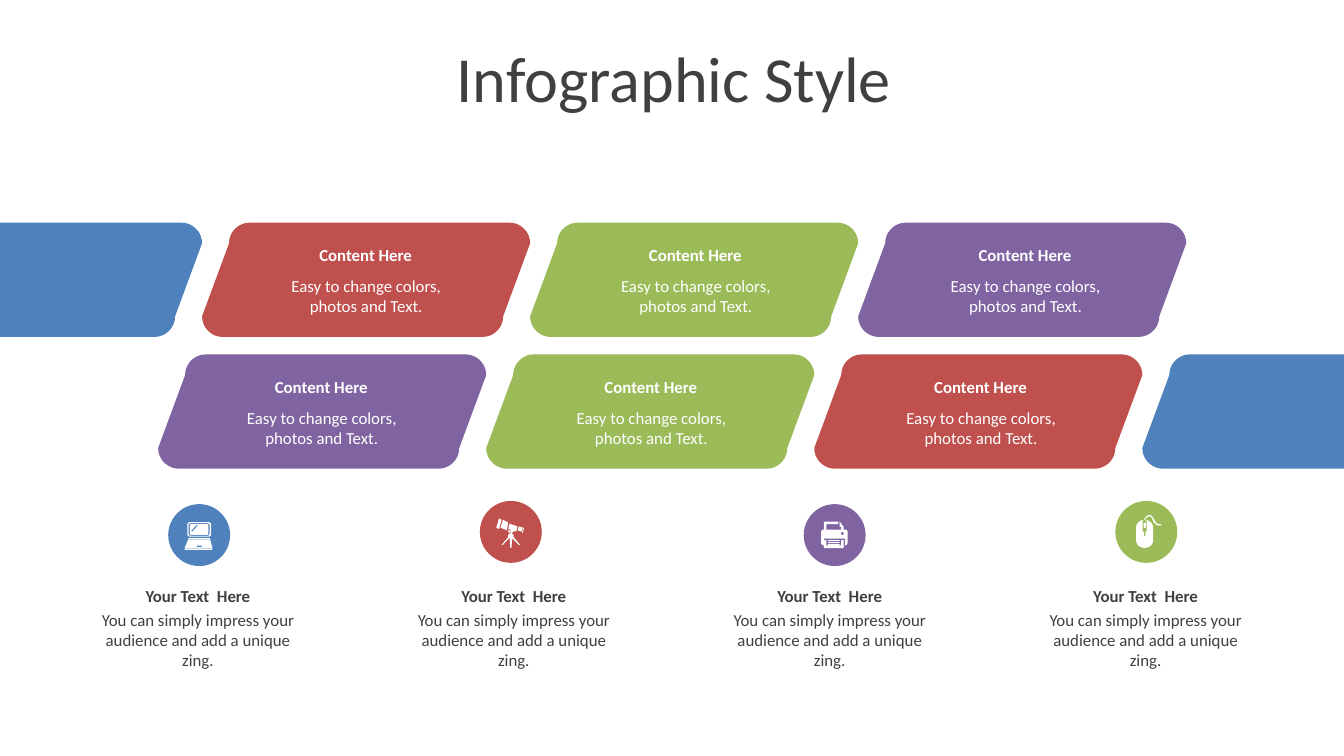
from math import cos, radians, sin

from pptx import Presentation
from pptx.dml.color import RGBColor
from pptx.enum.shapes import MSO_SHAPE
from pptx.enum.text import MSO_ANCHOR, MSO_AUTO_SIZE, PP_ALIGN
from pptx.util import Cm, Pt

BLUE = RGBColor(0x4F, 0x81, 0xBD)
RED = RGBColor(0xC0, 0x50, 0x4D)
GREEN = RGBColor(0x9B, 0xBB, 0x59)
PURPLE = RGBColor(0x80, 0x64, 0xA2)
WHITE = RGBColor(0xFF, 0xFF, 0xFF)
DARK = RGBColor(0x40, 0x40, 0x40)

PAGE_WIDTH, PAGE_HEIGHT = 25.4, 14.29
BANNER_WIDTH, BANNER_HEIGHT = 6.2, 2.16
RADIUS, SLANT = 0.39, 0.51
ICON_UNIT = 0.025  # one icon grid step in cm


def rounded(left, top, right, bottom, radius, slant=0):
    """Points of a rounded box whose sides may lean to the right."""
    corners = [
        (left + radius, bottom - radius, 90),
        (left + slant + radius, top + radius, 180),
        (right - radius, top + radius, 270),
        (right - slant - radius, bottom - radius, 0),
    ]
    return [
        (x + radius * cos(radians(start + step)), y + radius * sin(radians(start + step)))
        for x, y, start in corners
        for step in range(0, 91, 10)
    ]


def box(left, top, right, bottom):
    return [(left, top), (right, top), (right, bottom), (left, bottom)]


# Icons: closed outlines on a small grid, inner outlines are holes
LAPTOP = [
    rounded(2, 0, 20, 11, 2),
    rounded(3, 0.8, 18.8, 10.3, 1.5),
    rounded(4, 1.4, 18, 9.7, 1.2),
    [(9, 2), (10, 2.5), (5.5, 7.5), (5, 6.5)],
    [(3, 12), (19, 12), (21, 19.6), (0, 19.6)],
    box(3, 13, 19, 13.4),
    rounded(9, 17.8, 13, 18.8, 0.4),
    box(0, 20, 21, 21),
]
TELESCOPE = [
    [(2, 0), (4, 1), (2, 8), (0, 7)],
    [(5, 1), (9, 3), (8, 9), (3, 7)],
    [(10, 4), (16, 6), (15, 10), (9, 8)],
    [(17, 6), (20, 7), (19, 10), (16, 9)],
    [(20.5, 7), (21, 7.2), (20, 11), (19.5, 10.8)],
    [(9, 9), (13, 9), (13, 10), (12, 11), (12, 12), (13, 12), (13, 14),
     (18, 20), (17, 20), (12, 15), (11.5, 22), (10.5, 22), (10, 14.5),
     (5, 20), (4, 20), (9, 14), (9, 12), (10, 12), (10, 11), (9, 10)],
    rounded(10.4, 10, 11.4, 11, 0.5),
]
PRINTER = [
    rounded(0, 6, 20, 18, 2),
    box(2, 13, 18, 18),
    rounded(15, 8, 17, 10, 0.5),
    [(2, 14), (4, 14), (4, 18), (15, 18), (15, 14), (17, 14), (17, 20), (2, 20)],
    *[rounded(5, y, 14, y + 0.8, 0.4) for y in (14, 15.5, 17)],
    [(2, 0), (13, 0), (13, 2), (4, 2), (4, 6), (2, 6)],
    [(14, 0), (17, 4), (14, 4)],
    box(15, 4, 17, 6),
]
MOUSE = [
    rounded(0, 4, 13, 25, 6),
    rounded(5, 4, 8, 13, 1),
    rounded(5.7, 6, 7.5, 10, 0.9),
    box(6, 13, 7, 16),
    [(6, 4), (7, 2), (9, 0.3), (10.5, 0), (12, 1), (14, 4), (15, 6), (16.5, 7),
     (19, 7), (19, 8), (16, 8), (14, 6.5), (13, 5), (12, 2.2), (10.5, 1.2),
     (9, 1.5), (7.3, 3), (7, 4)],
]


class InfographicPage:
    font_format = {"name": "Calibri", "size": Pt(9), "bold": False}

    def __init__(self, deck):
        self.page = deck.slides.add_slide(deck.slide_layouts[5])

    def paint(self, shape, color):
        shape.shadow.inherit = False
        shape.fill.solid()
        shape.fill.fore_color.rgb = color
        shape.line.fill.background()

    def set_words(self, frame, words, color, **changes):
        frame.word_wrap = True
        para = frame.paragraphs[0]
        para.alignment = PP_ALIGN.CENTER
        span = para.add_run()
        span.text = words
        for name, value in {**self.font_format, **changes}.items():
            setattr(span.font, name, value)
        span.font.color.rgb = color

    def title(self, words):
        holder = self.page.shapes.title
        place = {"left": 0.69, "top": 0.71, "width": 24.1, "height": 1.5}
        for name, value in place.items():
            setattr(holder, name, Cm(value))
        holder.text_frame.auto_size = MSO_AUTO_SIZE.NONE
        holder.text_frame.vertical_anchor = MSO_ANCHOR.MIDDLE
        self.set_words(holder.text_frame, words, DARK, size=Pt(34.4))

    def text(self, words, left, top, width, height, color, bold=False):
        area = self.page.shapes.add_textbox(Cm(left), Cm(top), Cm(width), Cm(height))
        self.set_words(area.text_frame, words, color, bold=bold)

    def outline(self, contours, color, left=0, top=0, unit=1):
        builder = None
        for contour in contours:
            points = [(Cm(left + x * unit), Cm(top + y * unit)) for x, y in contour]
            if builder is None:
                builder = self.page.shapes.build_freeform(*points[0])
            else:
                builder.move_to(*points[0])
            builder.add_line_segments(points[1:], close=True)
        self.paint(builder.convert_to_shape(), color)

    def banner(self, left, top, color):
        """Draw a leaning banner, cut straight at the page edges."""
        points = rounded(left, top, left + BANNER_WIDTH, top + BANNER_HEIGHT, RADIUS, SLANT)
        self.outline([[(min(max(x, 0), PAGE_WIDTH), y) for x, y in points]], color)

    def badge(self, left, top, color, icon, shift_x, shift_y):
        disc = self.page.shapes.add_shape(
            MSO_SHAPE.OVAL, Cm(left), Cm(top), Cm(1.17), Cm(1.17))
        self.paint(disc, color)
        self.outline(icon, WHITE, left + shift_x, top + shift_y, ICON_UNIT)


def main():
    deck = Presentation()
    deck.slide_width, deck.slide_height = Cm(PAGE_WIDTH), Cm(PAGE_HEIGHT)
    page = InfographicPage(deck)
    page.title("Infographic Style")

    # Two rows of banners: top, first banner, first caption, colours
    rows = [
        (4.21, -2.38, -1.33, [BLUE, RED, GREEN, PURPLE]),
        (6.7, 2.99, 4.06, [PURPLE, GREEN, RED, BLUE]),
    ]
    for top, banner_left, text_left, colors in rows:
        for column, color in enumerate(colors):
            page.banner(banner_left + column * BANNER_WIDTH, top, color)
            if color == BLUE:
                continue
            left = text_left + column * 6.23
            page.text("Content Here", left, top + 0.3, 4.02, 0.64, WHITE, bold=True)
            page.text("Easy to change colors, photos and Text.",
                      left, top + 0.88, 4.04, 1.02, WHITE)

    # Four columns: badge with icon, heading and note
    badges = [
        (3.18, 9.53, BLUE, LAPTOP, 0.31, 0.34),
        (9.07, 9.47, RED, TELESCOPE, 0.31, 0.33),
        (15.19, 9.53, PURPLE, PRINTER, 0.33, 0.33),
        (21.08, 9.47, GREEN, MOUSE, 0.39, 0.26),
    ]
    for column, badge in enumerate(badges):
        page.badge(*badge)
        left = 1.63 + column * 5.97
        page.text("Your Text  Here", left, 10.95, 4.22, 0.64, DARK, bold=True)
        page.text("You can simply impress your audience and add a unique zing.",
                  left, 11.4, 4.22, 1.42, DARK)

    deck.save("out.pptx")


if __name__ == "__main__":
    main()
